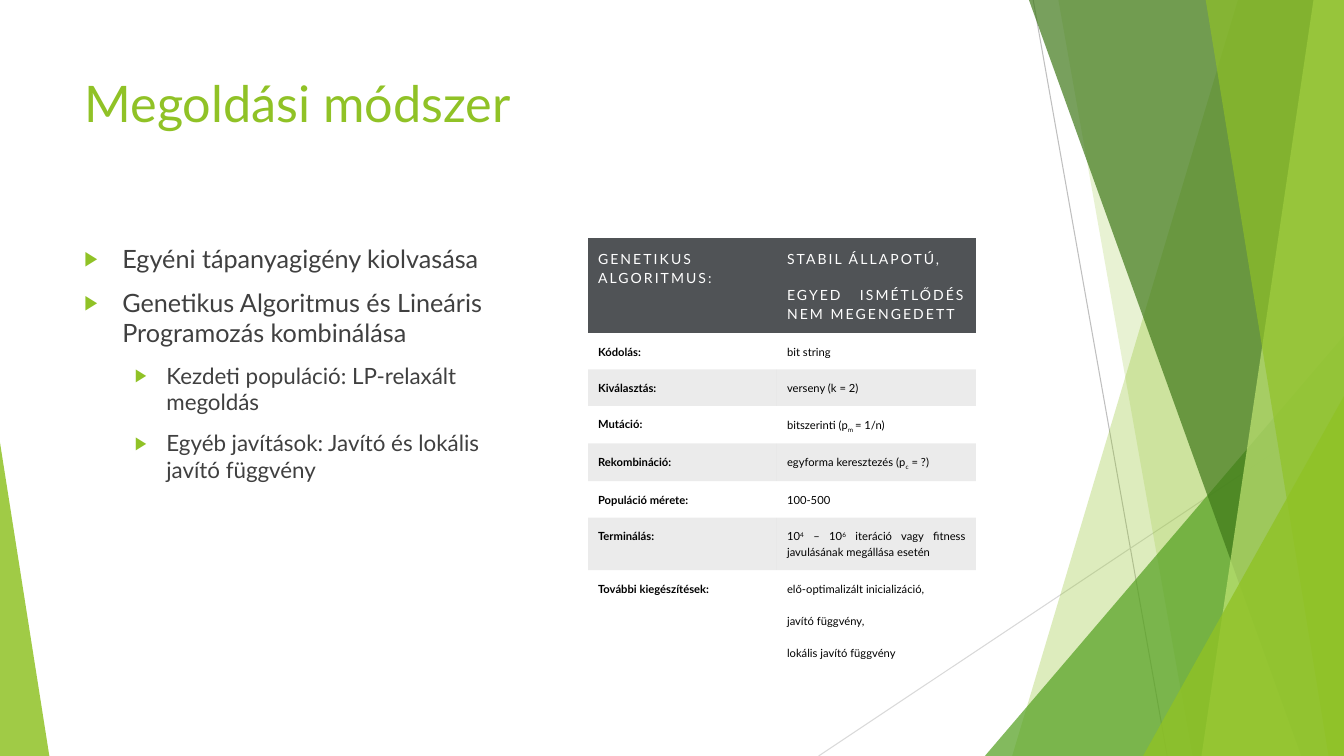
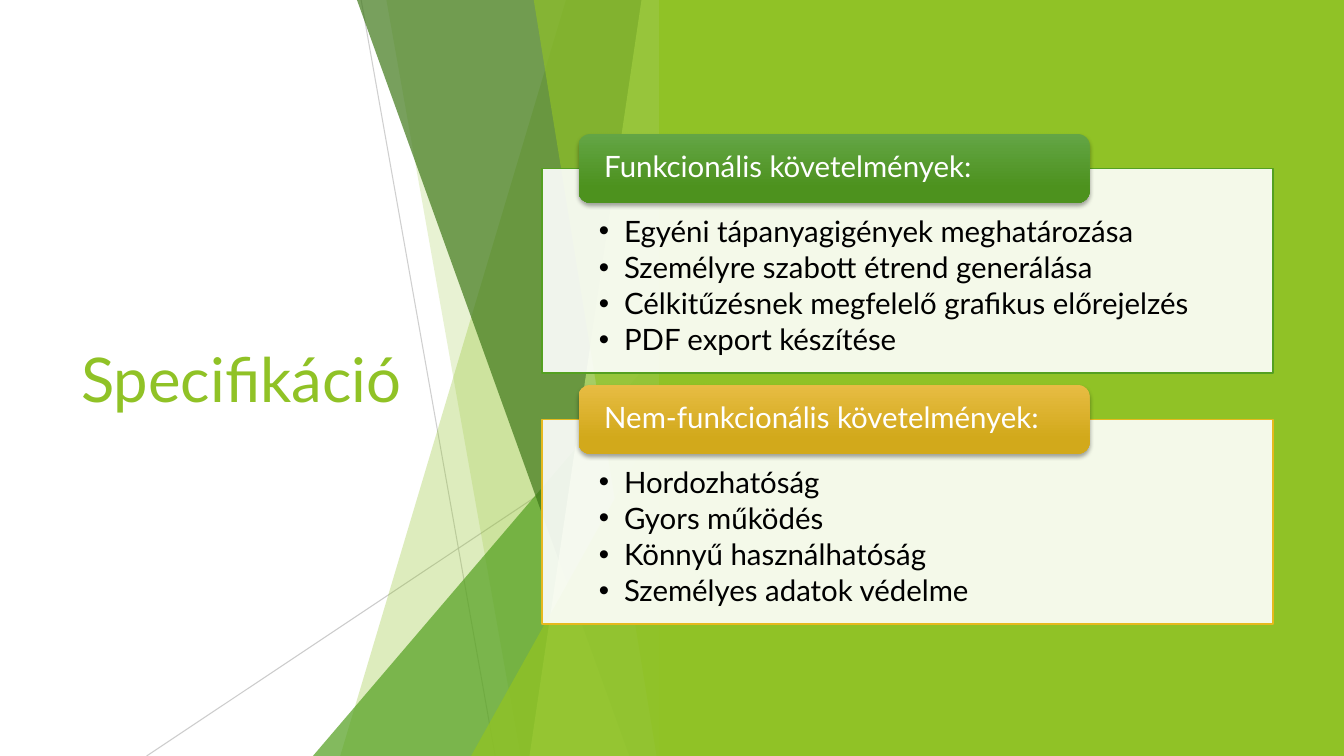
"""Build two slides that share a faceted green band and title style."""
from lxml.etree import SubElement
from pptx import Presentation
from pptx.dml.color import RGBColor
from pptx.enum.shapes import MSO_CONNECTOR, MSO_SHAPE
from pptx.enum.text import MSO_ANCHOR, PP_ALIGN
from pptx.oxml.ns import qn
from pptx.util import Pt

WIDTH, HEIGHT = 960, 540
FONT = "Lato"
GREEN, LEAF, FOREST, LIME = "90C226", "54A021", "3F7819", "C0E474"
WHITE, BLACK, GREY, SLATE = "FFFFFF", "000000", "404040", "505356"

BAND_LINES = [((738, 0), (833.75, HEIGHT)), ((WIDTH, 290), (584.75, HEIGHT))]
BAND_FACETS = [
    ("slope", 884.25, 723, GREEN, 30),
    ("slope", 756, 851.75, GREEN, 20),
    ("triangle", 703.5, 239.75, LEAF, 72),
    ("slope", 735, 929.5, FOREST, 70),
    ("slope", 938.25, 858.25, LIME, 70),
    ("slope", 861.25, 949, GREEN, 65),
    ("triangle", 816.5, 283, GREEN, 80),
]

METHOD_TITLE = "Megoldási módszer"
METHOD_POINTS = [
    (0, "Egyéni tápanyagigény kiolvasása"),
    (0, "Genetikus Algoritmus és Lineáris Programozás kombinálása"),
    (1, "Kezdeti populáció: LP-relaxált megoldás"),
    (1, "Egyéb javítások: Javító és lokális javító függvény"),
]
POINT_STYLES = [(18, 27, 27), (16, 58.5, 22.5)]
COLUMN_WIDTHS = [135, 142]
ROW_HEIGHTS = [64, 26, 26, 26, 26, 26, 37.5, 64]
ALGORITHM_ROWS = [
    ("GENETIKUS ALGORITMUS:",
     ["STABIL ÁLLAPOTÚ,", "EGYED ISMÉTLŐDÉS NEM MEGENGEDETT"]),
    ("Kódolás:", ["bit string"]),
    ("Kiválasztás:", ["verseny (k = 2)"]),
    ("Mutáció:", [[("bitszerinti (p", 0), ("m ", -25), ("= 1/n)", 0)]]),
    ("Rekombináció:",
     [[("egyforma keresztezés (p", 0), ("c", -25), (" = ?)", 0)]]),
    ("Populáció mérete:", ["100-500"]),
    ("Terminálás:",
     [[("10", 0), ("4", 30), (" – 10", 0), ("6", 30),
       (" iteráció vagy fitness javulásának megállása esetén", 0)]]),
    ("További kiegészítések:",
     ["elő-optimalizált inicializáció,", "javító függvény,",
      "lokális javító függvény"]),
]

SPECIFICATION_TITLE = "Specifikáció"
REQUIREMENTS = [
    ("Funkcionális követelmények:", LEAF, ("63A545", "4D921E"),
     ["Egyéni tápanyagigények meghatározása",
      "Személyre szabott étrend generálása",
      "Célkitűzésnek megfelelő grafikus előrejelzés",
      "PDF export készítése"]),
    ("Nem-funkcionális követelmények:", "E6B91E", ("E7BC43", "D2A91B"),
     ["Hordozhatóság", "Gyors működés", "Könnyű használhatóság",
      "Személyes adatok védelme"]),
]


def color(hex_code):
    return RGBColor.from_string(hex_code)


def points(*lengths):
    return [Pt(length) for length in lengths]


def paint(fill, hex_code, opacity=100):
    fill.solid()
    fill.fore_color.rgb = color(hex_code)
    if opacity < 100:
        tint = fill._xPr.find(".//" + qn("a:srgbClr"))
        SubElement(tint, qn("a:alpha"), val=str(opacity * 1000))


def finish(shape, hex_code, opacity=100):
    shape.shadow.inherit = False
    shape.line.fill.background()
    paint(shape.fill, hex_code, opacity)


def add_block(slide, kind, box, hex_code, opacity=100):
    shape = slide.shapes.add_shape(kind, *points(*box))
    finish(shape, hex_code, opacity)
    return shape


def add_corner(slide, box, tip, hex_code, opacity):
    triangle = add_block(slide, MSO_SHAPE.ISOSCELES_TRIANGLE, box, hex_code, opacity)
    triangle.adjustments[0] = tip


def add_band(slide, shift, line_styles):
    for (start, end), (hex_code, opacity) in zip(BAND_LINES, line_styles):
        connector = slide.shapes.add_connector(
            MSO_CONNECTOR.STRAIGHT,
            *points(start[0] + shift, start[1], end[0] + shift, end[1]))
        connector.line.width = Pt(0.75)
        paint(connector.line.fill, hex_code, opacity)
        SubElement(connector.element.spPr, qn("a:effectLst"))
    right = WIDTH + shift
    for kind, first, second, hex_code, opacity in BAND_FACETS:
        left = first + shift
        if kind == "triangle":
            box = (left, second, right - left, HEIGHT - second)
            add_corner(slide, box, 1, hex_code, opacity)
        else:
            builder = slide.shapes.build_freeform(Pt(left), 0)
            builder.add_line_segments(
                [points(right, 0), points(right, HEIGHT),
                 points(second + shift, HEIGHT)])
            finish(builder.convert_to_shape(), hex_code, opacity)


def set_frame(frame, insets=(7.2, 3.6, 7.2, 3.6), anchor=MSO_ANCHOR.TOP):
    frame.word_wrap = True
    frame.vertical_anchor = anchor
    (frame.margin_left, frame.margin_top,
     frame.margin_right, frame.margin_bottom) = points(*insets)


def write(frame, contents, size, hex_code, bold=False, spacing=0,
          align=PP_ALIGN.LEFT, line=1, before=0, after=0):
    for index, content in enumerate(contents):
        paragraph = frame.add_paragraph() if index else frame.paragraphs[0]
        paragraph.alignment = align
        paragraph.line_spacing = line
        paragraph.space_before = Pt(before)
        paragraph.space_after = Pt(after)
        pieces = [(content, 0)] if isinstance(content, str) else content
        for text, baseline in pieces:
            run = paragraph.add_run()
            run.text = text
            run.font.name = FONT
            run.font.size = Pt(size)
            run.font.bold = bold
            run.font.color.rgb = color(hex_code)
            properties = run.font._element
            if baseline:
                properties.set("baseline", str(baseline * 1000))
            if spacing:
                properties.set("spc", str(int(spacing * 100)))


def add_bullet(paragraph, character, indent, hanging, hex_code, percent=100):
    properties = paragraph._p.get_or_add_pPr()
    properties.set("marL", str(Pt(indent)))
    properties.set("indent", str(-Pt(hanging)))
    tint = SubElement(properties, qn("a:buClr"))
    SubElement(tint, qn("a:srgbClr"), val=hex_code)
    SubElement(properties, qn("a:buSzPct"), val=str(percent * 1000))
    SubElement(properties, qn("a:buFont"), typeface="Arial")
    SubElement(properties, qn("a:buChar"), char=character)


def add_title(slide, text, box, size, anchor):
    frame = slide.shapes.add_textbox(*points(*box)).text_frame
    set_frame(frame, anchor=anchor)
    write(frame, [text], size, GREEN)


def add_method_points(slide):
    frame = slide.shapes.add_textbox(*points(53.25, 170, 312, 295)).text_frame
    set_frame(frame)
    write(frame, [text for _, text in METHOD_POINTS], 18, GREY, before=10)
    for paragraph, (level, _) in zip(frame.paragraphs, METHOD_POINTS):
        size, indent, hanging = POINT_STYLES[level]
        paragraph.level = level
        paragraph.runs[0].font.size = Pt(size)
        add_bullet(paragraph, "▶", indent, hanging, GREEN, 80)


def add_algorithm_table(slide):
    frame = slide.shapes.add_table(
        len(ROW_HEIGHTS), len(COLUMN_WIDTHS),
        *points(420, 170, sum(COLUMN_WIDTHS), sum(ROW_HEIGHTS)))
    frame.element.find(".//" + qn("a:tableStyleId")).text = (
        "{2D5ABB26-0587-4C30-8999-92F81FD0307C}")
    table = frame.table
    table.first_row = table.horz_banding = False
    for column, width in zip(table.columns, COLUMN_WIDTHS):
        column.width = Pt(width)
    for row_index, (label, values) in enumerate(ALGORITHM_ROWS):
        row = table.rows[row_index]
        row.height = Pt(ROW_HEIGHTS[row_index])
        header = row_index == 0
        for column_index, contents in enumerate(([label], values)):
            cell = row.cells[column_index]
            cell.margin_left = cell.margin_right = Pt(7.2)
            cell.margin_top = cell.margin_bottom = Pt(7.2)
            if header:
                paint(cell.fill, SLATE)
            elif row_index % 2 == 0:
                paint(cell.fill, BLACK, 8)
            else:
                cell.fill.background()
            write(cell.text_frame, contents, 10 if header else 8,
                  WHITE if header else BLACK,
                  bold=not header and column_index == 0,
                  spacing=1.5 if header else 0,
                  align=PP_ALIGN.JUSTIFY, line=1.15, before=6, after=6)


def add_requirement(slide, top, heading, outline, gradient, items):
    panel = add_block(slide, MSO_SHAPE.RECTANGLE, (387.25, top, 522, 146.25), WHITE, 90)
    panel.line.color.rgb = color(outline)
    panel.line.width = Pt(1)
    set_frame(panel.text_frame, (40.5, 34.5, 40.5, 11.5))
    write(panel.text_frame, items, 21, BLACK, line=0.9, after=3.15)
    for paragraph in panel.text_frame.paragraphs:
        paragraph.level = 1
        add_bullet(paragraph, "•", 18, 18, BLACK)

    label = add_block(slide, MSO_SHAPE.ROUNDED_RECTANGLE,
                      (413.25, top - 24.5, 365, 49), outline)
    label.fill.gradient()
    label.fill.gradient_angle = 270
    for stop, hex_code, position in zip(label.fill.gradient_stops, gradient, (0, 0.78)):
        stop.color.rgb = color(hex_code)
        stop.position = position
    effects = label.element.spPr.find(qn("a:effectLst"))
    shadow = SubElement(effects, qn("a:outerShdw"), blurRad=str(Pt(3)),
                        dist=str(Pt(2)), dir="5400000", rotWithShape="0")
    tint = SubElement(shadow, qn("a:srgbClr"), val=BLACK)
    SubElement(tint, qn("a:alpha"), val="35000")
    set_frame(label.text_frame, (16, 0, 16, 0), MSO_ANCHOR.MIDDLE)
    write(label.text_frame, [heading], 21, WHITE, line=0.9)


def build_method(slide):
    add_band(slide, 0, [("BFBFBF", 100), ("D9D9D9", 100)])
    add_corner(slide, (0, 316, 35.25, 224), 0, GREEN, 85)
    add_title(slide, METHOD_TITLE, (53.25, 48, 677, 104), 36, MSO_ANCHOR.TOP)
    add_method_points(slide)
    add_algorithm_table(slide)


def build_specification(slide):
    add_title(slide, SPECIFICATION_TITLE, (51, 108.75, 279.5, 322.5), 44,
              MSO_ANCHOR.MIDDLE)
    add_band(slide, -480, [("BFBFBF", 75), ("BFBFBF", 80)])
    add_block(slide, MSO_SHAPE.RECTANGLE, (470.75, 0, WIDTH - 470.75, HEIGHT), GREEN)
    for index, requirement in enumerate(REQUIREMENTS):
        add_requirement(slide, 120.25 + index * 179.25, *requirement)


presentation = Presentation()
presentation.slide_width, presentation.slide_height = points(WIDTH, HEIGHT)
for build in (build_method, build_specification):
    build(presentation.slides.add_slide(presentation.slide_layouts[6]))
presentation.save("out.pptx")
